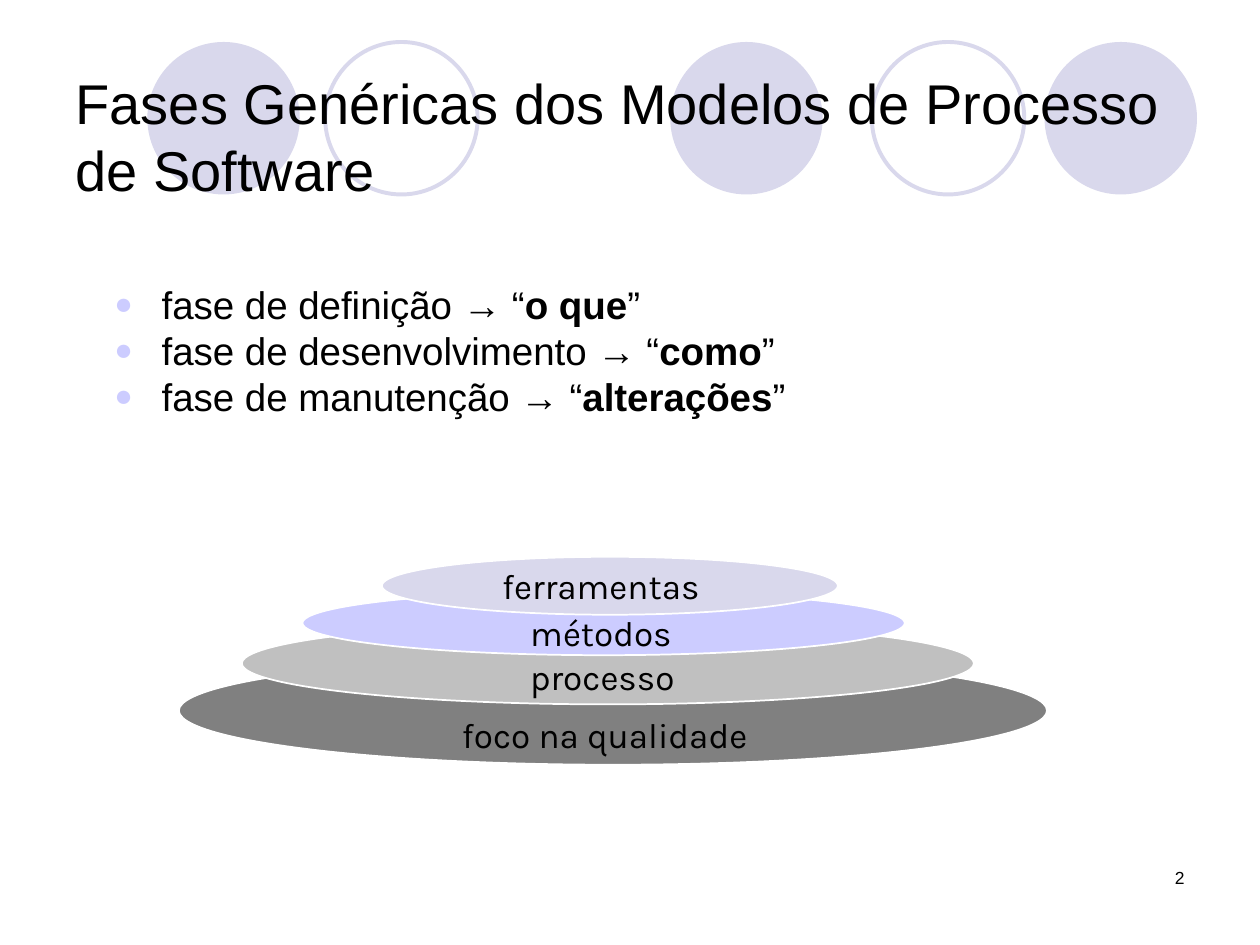
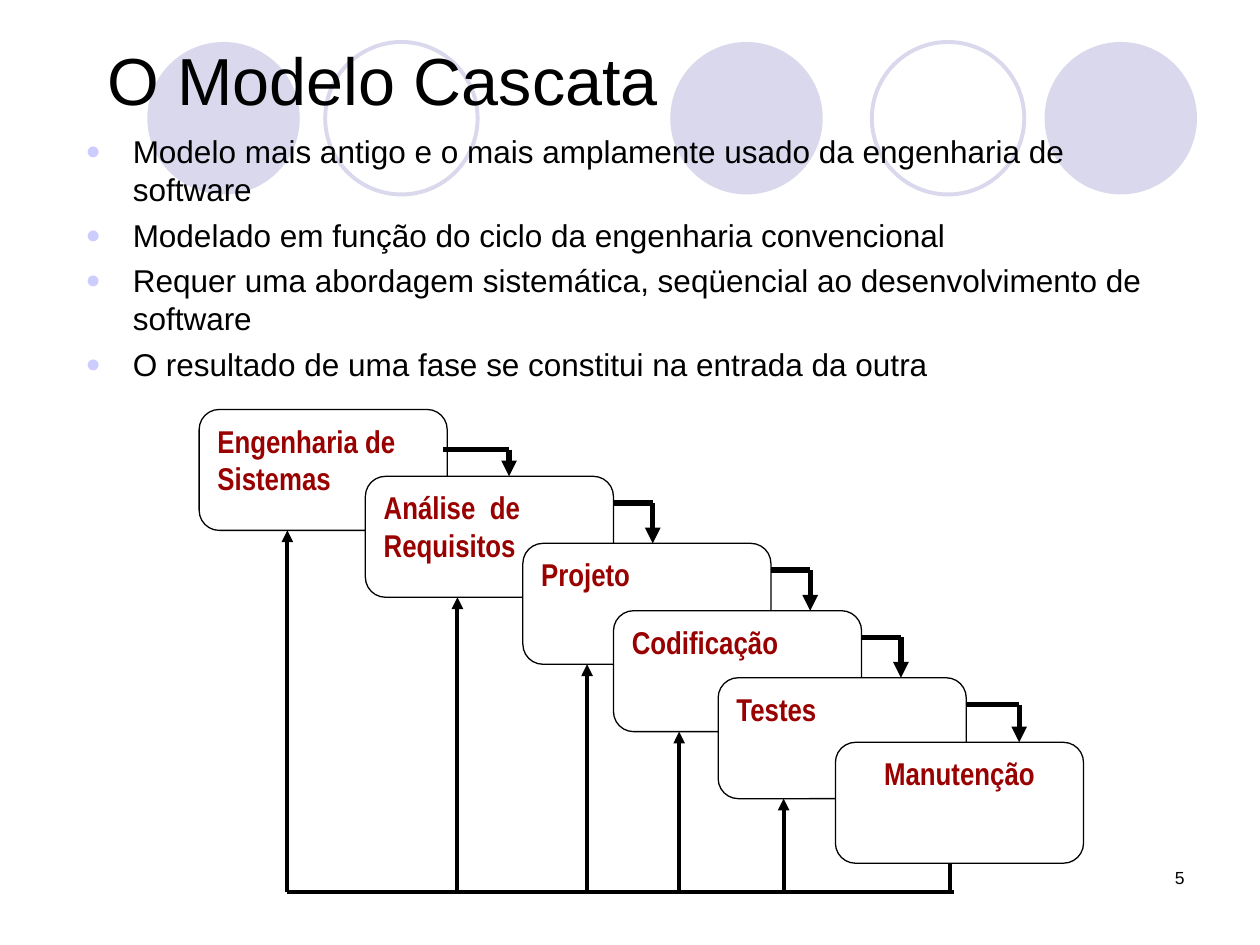
"""Build two slides on software process phases and the waterfall model."""
from dataclasses import dataclass

from lxml.etree import SubElement
from pptx import Presentation
from pptx.dml.color import RGBColor as Rgb
from pptx.enum.shapes import MSO_CONNECTOR as Connector, MSO_SHAPE as Shape
from pptx.enum.text import MSO_ANCHOR as Anchor, MSO_AUTO_SIZE as AutoSize, PP_ALIGN as Align
from pptx.oxml.ns import qn
from pptx.util import Pt


@dataclass(frozen=True)
class Theme:
    black: Rgb = Rgb.from_string("000000")
    white: Rgb = Rgb.from_string("FFFFFF")
    lilac: Rgb = Rgb.from_string("D9D8EC")
    violet: Rgb = Rgb.from_string("CCCCFF")
    silver: Rgb = Rgb.from_string("C0C0C0")
    gray: Rgb = Rgb.from_string("808080")
    red: Rgb = Rgb.from_string("990000")
    main_font: str = "Arial"
    layer_font: str = "Karla"
    stage_font: str = "Arial Narrow"
    layer_size: int = 20
    stage_size: int = 18
    number_size: int = 10


theme = Theme()


def style(para, size, name=theme.main_font, color=theme.black, align=Align.LEFT):
    para.alignment = align
    for span in para.runs:
        span.font.size = Pt(size)
        span.font.name = name
        span.font.color.rgb = color


def add_line(page, start, end, width, arrow=False):
    line = page.shapes.add_connector(
        Connector.STRAIGHT, *(Pt(value) for value in start + end))
    line.line.color.rgb = theme.black
    line.line.width = Pt(width)
    if arrow:
        SubElement(line.line._get_or_add_ln(), qn("a:tailEnd"), type="triangle")
    SubElement(line.element.spPr, qn("a:effectLst"))


deck = Presentation()
deck.slide_width, deck.slide_height = Pt(720), Pt(540)
layout = deck.slide_layouts[5]

contents = [
    {
        "title": "Fases Genéricas dos Modelos de Processo de Software",
        "title_at": (36, 43.2, 648, 68.4),
        "title_size": 32,
        "body_at": (58.3, 157, 635.8, 293),
        "body_size": 22,
        "gaps": (5.5, 0, 0),
        "bullets": (
            "fase de definição → “*o que*”",
            "fase de desenvolvimento → “*como*”",
            "fase de manutenção → “*alterações*”",
        ),
        "number": "2",
    },
    {
        "title": "O Modelo Cascata",
        "title_at": (54, 0, 635.8, 90),
        "title_size": 38,
        "body_at": (41.8, 72, 635.8, 414),
        "body_size": 18,
        "gaps": (4.5,) * 4,
        "bullets": (
            "Modelo mais antigo e o mais amplamente usado da engenharia de software",
            "Modelado em função do ciclo da engenharia convencional",
            "Requer uma abordagem sistemática, seqüencial ao desenvolvimento de software",
            "O resultado de uma fase se constitui na entrada da outra",
        ),
        "number": "5",
    },
]

pages = []
for content in contents:
    page = deck.slides.add_slide(layout)
    pages.append(page)

    title = page.shapes.title
    title.left, title.top, title.width, title.height = map(Pt, content["title_at"])
    title.text_frame.text = content["title"]
    title.text_frame.word_wrap = True
    title.text_frame.auto_size = AutoSize.NONE
    title.text_frame.vertical_anchor = Anchor.MIDDLE
    style(title.text_frame.paragraphs[0], content["title_size"])

    body = page.shapes.add_textbox(*map(Pt, content["body_at"])).text_frame
    body.word_wrap = True
    for index, (bullet, gap) in enumerate(zip(content["bullets"], content["gaps"])):
        para = body.add_paragraph() if index else body.paragraphs[0]
        para.space_before = Pt(gap)
        for part, text in enumerate(bullet.split("*")):
            span = para.add_run()
            span.text = text
            span.font.bold = part % 2 == 1
        style(para, content["body_size"])
        props = para._p.get_or_add_pPr()
        props.set("marL", str(Pt(27)))
        props.set("indent", str(-Pt(27)))
        bullet_color = SubElement(props, qn("a:buClr"))
        SubElement(bullet_color, qn("a:srgbClr"), val=str(theme.violet))
        SubElement(props, qn("a:buSzPct"), val="80000")
        SubElement(props, qn("a:buFont"), typeface=theme.main_font)
        SubElement(props, qn("a:buChar"), char="●")

    number = page.shapes.add_textbox(Pt(516.2), Pt(491.8), Pt(167.8), Pt(36)).text_frame
    number.word_wrap = True
    number.text = content["number"]
    style(number.paragraphs[0], theme.number_size, align=Align.RIGHT)

phases, waterfall = pages

circles = [(84.2, True), (185.8, False), (383, True), (498.2, False), (596.9, True)]
for index, (left, filled) in enumerate(circles):
    circle = phases.shapes.add_shape(Shape.OVAL, Pt(left), Pt(24), Pt(87.1), Pt(87.1))
    circle.shadow.inherit = False
    if filled:
        circle.fill.solid()
        circle.fill.fore_color.rgb = theme.lilac
        circle.line.fill.background()
    else:
        circle.fill.background()
        circle.line.color.rgb = theme.lilac
        circle.line.width = Pt(2.25)
    circle.element.nvSpPr.cNvPr.set("id", str(20 + index))
    layout.element.cSld.spTree.append(circle.element)

layers = [
    ("foco na qualidade", theme.gray, (102.2, 375.1, 496.1, 61.9), (254.2, 403.9, 182.9)),
    ("processo", theme.silver, (138.2, 355.7, 418.3, 46.8), (294.5, 370.8, 99.4)),
    ("métodos", theme.violet, (172.8, 337.7, 344.2, 36.7), (294.5, 345.6, 97.9)),
    ("ferramentas", theme.lilac, (218.2, 318.2, 260.6, 33.1), (277.9, 319, 131)),
]
for name, color, oval_at, label_at in layers:
    oval = phases.shapes.add_shape(Shape.OVAL, *map(Pt, oval_at))
    oval.shadow.inherit = False
    oval.fill.solid()
    oval.fill.fore_color.rgb = color
    oval.line.color.rgb = theme.white
    oval.line.width = Pt(1)
for name, color, oval_at, label_at in layers:
    label = phases.shapes.add_textbox(*map(Pt, label_at), Pt(31.7)).text_frame
    label.word_wrap = False
    label.auto_size = AutoSize.SHAPE_TO_FIT_TEXT
    label.vertical_anchor = Anchor.MIDDLE
    label.text = name
    label.paragraphs[0].space_before = Pt(12.5)
    style(label.paragraphs[0], theme.layer_size, theme.layer_font, align=Align.CENTER)

stage_width, stage_height, base = 141.8, 69.1, 509.8
stages = [
    ("Engenharia de Sistemas", 113.8, 234, Align.LEFT),
    ("Análise  de Requisitos", 208.8, 272.2, Align.LEFT),
    ("Projeto", 298.8, 310.5, Align.LEFT),
    ("Codificação", 350.6, 349, Align.LEFT),
    ("Testes", 410.4, 387.3, Align.LEFT),
    ("Manutenção", 477.4, 424.2, Align.CENTER),
]
for name, left, top, align in stages:
    box = waterfall.shapes.add_shape(
        Shape.ROUNDED_RECTANGLE, Pt(left), Pt(top), Pt(stage_width), Pt(stage_height))
    box.shadow.inherit = False
    box.fill.solid()
    box.fill.fore_color.rgb = theme.white
    box.line.color.rgb = theme.black
    box.line.width = Pt(0.75)
    box.text_frame.vertical_anchor = Anchor.TOP
    box.text_frame.text = name
    para = box.text_frame.paragraphs[0]
    para.font.bold = True
    style(para, theme.stage_size, theme.stage_font, theme.red, align)
    for span in para.runs:
        span.font.bold = True

steps = [(253.4, 257, 290.9)]
for (name, left, top, align), reach in zip(stages[1:5], (22.4, 22.4, 22.4, 30.2)):
    right = left + stage_width
    steps.append((right, top + 15.3, right + reach))
for (start, level, bend), following in zip(steps, stages[1:]):
    add_line(waterfall, (start, level), (bend, level), 3)
    add_line(waterfall, (bend, level), (bend, following[2]), 3, arrow=True)

returns = (164.2, 261.4, 335.5, 388.1, 447.8)
add_line(waterfall, (542.9, stages[-1][2] + stage_height), (542.9, base), 2.25)
add_line(waterfall, (returns[0], base), (545, base), 2.25)
for across, stage in zip(returns, stages):
    add_line(waterfall, (across, base), (across, stage[2] + stage_height), 2.25, arrow=True)

deck.save("out.pptx")
